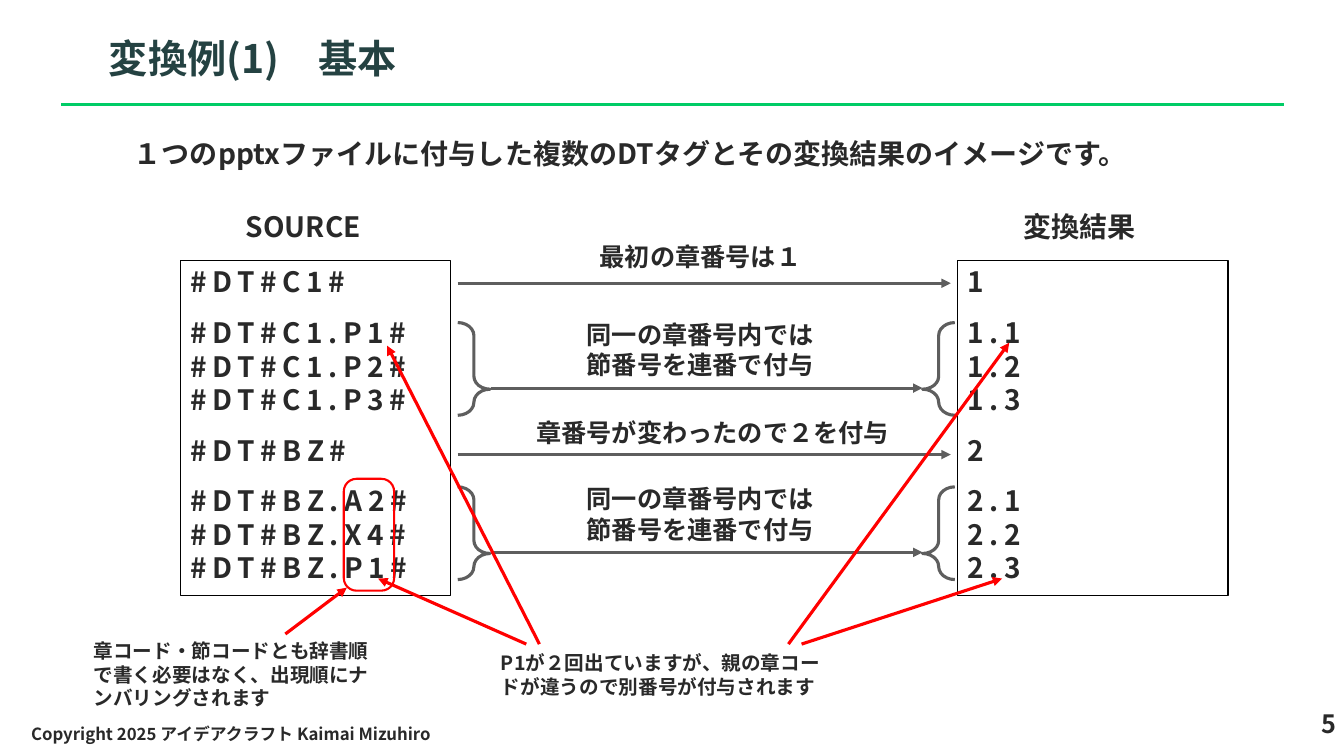
from lxml import etree
from pptx import Presentation
from pptx.dml.color import RGBColor
from pptx.enum.shapes import MSO_CONNECTOR, MSO_SHAPE
from pptx.enum.text import MSO_ANCHOR, MSO_AUTO_SIZE, PP_ALIGN
from pptx.oxml.ns import qn
from pptx.util import Inches, Pt

FONT = "Noto Sans CJK JP"
TEXT = RGBColor(0x29, 0x29, 0x29)
TITLE = RGBColor(0x24, 0x42, 0x42)
GREEN = RGBColor(0x00, 0xCC, 0x66)
GRAY = RGBColor(0x5E, 0x5E, 0x5E)
RED = RGBColor(0xFF, 0x00, 0x00)
BLACK = RGBColor(0, 0, 0)

# Content
title = "変換例(1)\u3000基本"
intro = "１つのpptxファイルに付与した複数のDTタグとその変換結果のイメージです。"
# heading, box left, groups of lines
columns = [
    ("SOURCE", 1.79, [["#DT#C1#"], ["#DT#C1.P1#", "#DT#C1.P2#", "#DT#C1.P3#"],
                      ["#DT#BZ#"], ["#DT#BZ.A2#", "#DT#BZ.X4#", "#DT#BZ.P1#"]]),
    ("変換結果", 9.5, [["1"], ["1.1", "1.2", "1.3"],
                    ["2"], ["2.1", "2.2", "2.3"]]),
]
# text, left, top, width, arrow height
chapter_rules = [("最初の章番号は１", 5.85, 2.34, 2.65, 2.81),
                 ("章番号が変わったので２を付与", 5.22, 4.09, 3.88, 4.51)]
section_rule = ["同一の章番号内では", "節番号を連番で付与"]
section_tops = [3.12, 4.75]
# text, left, top, width, height
callouts = [
    ("章コード・節コードとも辞書順で書く必要はなく、出現順にナンバリングされます", 0.83, 6.29, 3.01, 0.81),
    ("P1が２回出ていますが、親の章コードが違うので別番号が付与されます", 4.87, 6.41, 3.39, 0.57),
]
callout_arrows = [((2.83, 6.29), (3.44, 5.83)), ((5.22, 6.39), (3.75, 5.74)),
                  ((5.35, 6.39), (3.84, 3.43)), ((7.82, 6.39), (10.01, 3.4)),
                  ((7.95, 6.39), (9.94, 5.74))]
copyright_line = "Copyright 2025 アイデアクラフト Kaimai Mizuhiro"
page = "5"

prs = Presentation()
prs.slide_width, prs.slide_height = Inches(13.33), Inches(7.5)
s = prs.slides.add_slide(prs.slide_layouts[5])


def write(sp, groups, size=20, color=TEXT, align=PP_ALIGN.LEFT,
          anchor=MSO_ANCHOR.TOP, spacing=0):
    """Fill a shape with groups of lines, with a gap between groups."""
    tf = sp.text_frame
    tf.word_wrap = True
    tf.auto_size = MSO_AUTO_SIZE.NONE
    tf.vertical_anchor = anchor
    lines = [(line, g > 0 and i == 0)
             for g, group in enumerate(groups) for i, line in enumerate(group)]
    for n, (line, opens_group) in enumerate(lines):
        p = tf.add_paragraph() if n else tf.paragraphs[0]
        p.alignment = align
        p.line_spacing = Pt(1.2 * size)
        if opens_group:
            p.space_before = Pt(12)
        r = p.add_run()
        r.text = line
        r.font.name, r.font.size, r.font.bold = FONT, Pt(size), True
        r.font.color.rgb = color
        rPr = r.font._element
        etree.SubElement(rPr, qn("a:ea")).set("typeface", FONT)
        if spacing:
            rPr.set("spc", str(spacing * 100))


def add_text(lines, left, top, width, height, **fmt):
    sp = s.shapes.add_textbox(*map(Inches, (left, top, width, height)))
    write(sp, [lines], **fmt)


def add_outline(kind, left, top, width, height, color, weight, adj=()):
    sp = s.shapes.add_shape(kind, *map(Inches, (left, top, width, height)))
    sp.shadow.inherit = False
    sp.fill.background()
    sp.line.color.rgb = color
    sp.line.width = Pt(weight)
    for i, value in enumerate(adj):
        sp.adjustments[i] = value
    return sp


def add_line(start, end, color, arrow=True):
    c = s.shapes.add_connector(MSO_CONNECTOR.STRAIGHT, *map(Inches, (*start, *end)))
    c.line.color.rgb = color
    c.line.width = Pt(2.25)
    if arrow:
        etree.SubElement(c.line._get_or_add_ln(), qn("a:tailEnd")).set("type", "triangle")
    etree.SubElement(c._element.spPr, qn("a:effectLst"))


# Title, rule, footer and introduction
add_line((0.61, 1.04), (12.73, 1.04), GREEN, arrow=False)
heading = s.shapes.title
heading.left, heading.top, heading.width, heading.height = map(
    Inches, (0.98, 0.29, 11.98, 0.71))
write(heading, [[title]], size=28, color=TITLE)
add_text([page], 11.71, 6.98, 1.64, 0.5, size=18, align=PP_ALIGN.RIGHT)
add_text([copyright_line], 0.21, 7.08, 6.06, 0.4, size=12, anchor=MSO_ANCHOR.MIDDLE)
add_text([intro], 1.23, 1.31, 10.47, 0.44)

# Source and result boxes
for name, left, groups in columns:
    box = add_outline(MSO_SHAPE.RECTANGLE, left, 2.58, 2.68, 3.33, BLACK, 0.75)
    write(box, groups, spacing=4)
    add_text([name], left + 0.55, 2.03, 1.81, 0.44)

# Chapter rules: one line to one line
for text, left, top, width, arrow_y in chapter_rules:
    add_line((4.54, arrow_y), (9.43, arrow_y), GRAY)
    add_text([text], left, top, width, 0.4, size=18)

# Section rules: braces joined by an arrow
for top in section_tops:
    add_line((4.87, top + 0.73), (9.15, top + 0.73), GRAY)
    add_text(section_rule, 5.72, top, 2.92, 0.71, size=18)
    for left, flipped in ((4.54, False), (9.15, True)):
        brace = add_outline(MSO_SHAPE.RIGHT_BRACE, left, top + 0.08, 0.32, 0.92,
                            GRAY, 2.25, adj=(0.565, 0.719))
        if flipped:
            brace._element.spPr.xfrm.set("flipH", "1")

# Red callouts
add_outline(MSO_SHAPE.ROUNDED_RECTANGLE, 3.41, 4.75, 0.5, 1.11, RED, 1.5, adj=(0.252,))
for text, *place in callouts:
    add_text([text], *place, size=14)
for start, end in callout_arrows:
    add_line(start, end, RED)

prs.save("out.pptx")
